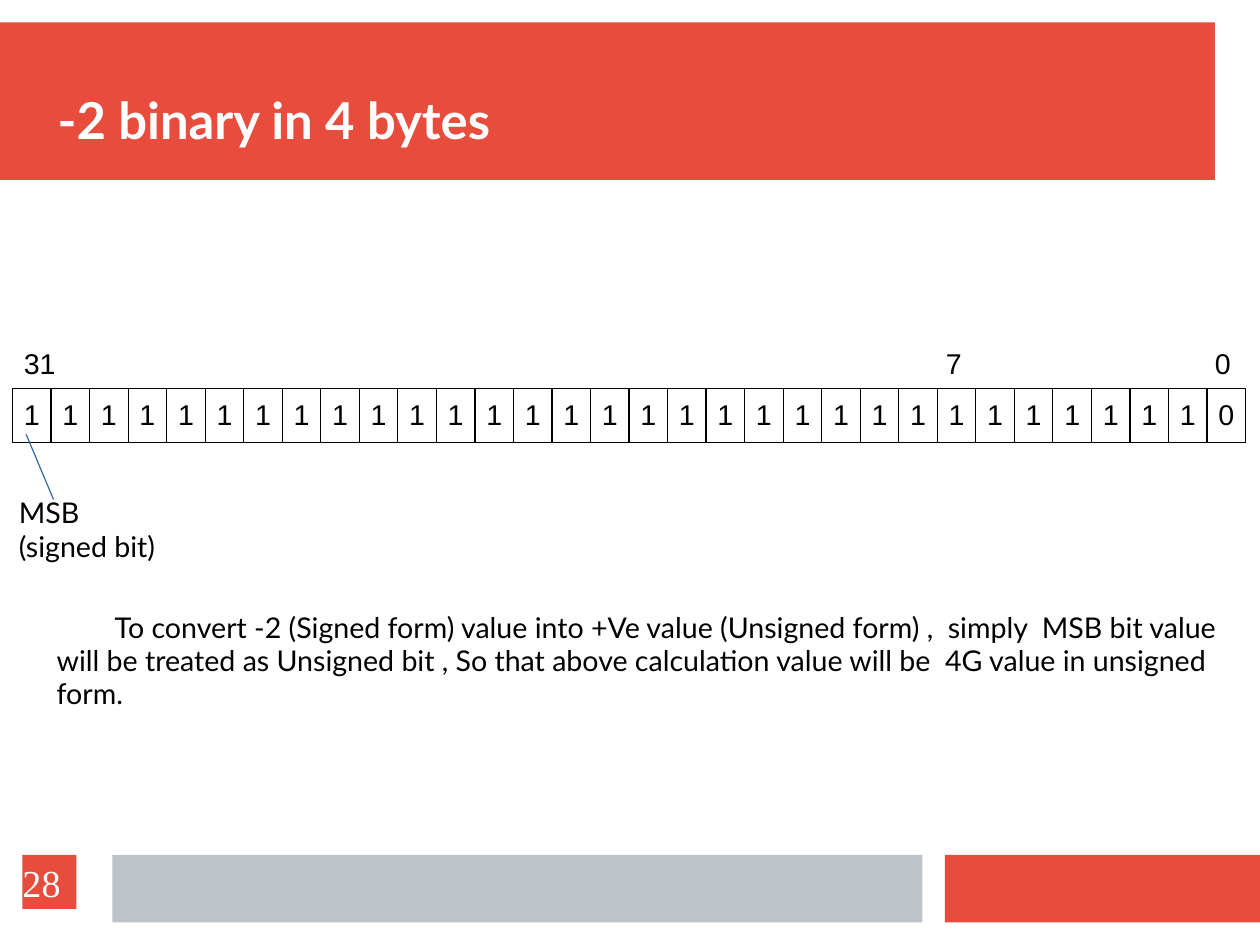
from dataclasses import dataclass

from lxml.etree import SubElement
from pptx import Presentation
from pptx.dml.color import RGBColor
from pptx.enum.shapes import MSO_CONNECTOR, MSO_SHAPE
from pptx.enum.text import MSO_ANCHOR, PP_ALIGN
from pptx.oxml.ns import qn
from pptx.shapes.autoshape import Shape
from pptx.shapes.shapetree import SlideShapes
from pptx.util import Cm, Pt

RED = RGBColor(0xE7, 0x4C, 0x3C)
GREY = RGBColor(0xBD, 0xC3, 0xC7)
BLUE = RGBColor(0x34, 0x65, 0xA4)
WHITE = RGBColor(0xFF, 0xFF, 0xFF)
BLACK = RGBColor(0x00, 0x00, 0x00)

BITS = "1" * 31 + "0"
ROW_LEFT = 0.28
ROW_TOP = 8.64
ROW_WIDTH = 27.4
BIT_HEIGHT = 1.19
BIT_WIDTH = ROW_WIDTH / len(BITS)


@dataclass(frozen=True)
class Area:
    left: float
    top: float
    width: float
    height: float


@dataclass(frozen=True)
class Style:
    font: str
    size: int
    color: RGBColor = BLACK
    bold: bool = False
    spacing: float = 0.97
    align: PP_ALIGN = PP_ALIGN.LEFT
    anchor: MSO_ANCHOR = MSO_ANCHOR.TOP
    padded: bool = True
    wrap: bool = True


@dataclass(frozen=True)
class Band:
    area: Area
    fill: RGBColor


@dataclass(frozen=True)
class Caption:
    text: str
    area: Area
    style: Style


TITLE = Style("Lato", 32, WHITE, bold=True, anchor=MSO_ANCHOR.BOTTOM, padded=False)
BIT = Style("Arial", 18, spacing=0.94, align=PP_ALIGN.CENTER, anchor=MSO_ANCHOR.MIDDLE,
            wrap=False)
POSITION = Style("Arial", 18, spacing=0.94)
BODY = Style("Lato", 18)
PAGE = Style("Times New Roman", 24, WHITE, spacing=1.0, anchor=MSO_ANCHOR.MIDDLE, padded=False)

BANDS = [
    Band(Area(0, 0.5, 27, 3.5), RED),
    Band(Area(21, 19, 7, 1.5), RED),
    Band(Area(2.5, 19, 18, 1.5), GREY),
]
CAPTIONS = [
    Caption("-2 binary in 4 bytes", Area(1.28, 1, 25.55, 2.36), TITLE),
    Caption("31", Area(0.28, 7.63, 1.6, 1.01), POSITION),
    Caption("7", Area(20.77, 7.63, 1.2, 1.01), POSITION),
    Caption("0", Area(26.75, 7.63, 1.2, 1.01), POSITION),
    Caption("MSB\n(signed bit)", Area(0.17, 10.92, 4, 1.73), BODY),
]
EXPLANATION = Caption(
    "To convert -2 (Signed form) value into +Ve value (Unsigned form) ,  simply  MSB bit value "
    "will be treated as Unsigned bit , So that above calculation value will be  4G value in "
    "unsigned form.",
    Area(1.01, 13.46, 26.42, 2.46),
    BODY,
)


def write(shape: Shape, text: str, style: Style) -> None:
    frame = shape.text_frame
    frame.text = text
    frame.word_wrap = style.wrap
    frame.vertical_anchor = style.anchor
    frame.margin_left = frame.margin_right = Cm(0.25 if style.padded else 0)
    frame.margin_top = frame.margin_bottom = Cm(0.13 if style.padded else 0)
    for paragraph in frame.paragraphs:
        paragraph.alignment = style.align
        paragraph.line_spacing = style.spacing
        for run in paragraph.runs:
            run.font.name = style.font
            run.font.size = Pt(style.size)
            run.font.bold = style.bold
            run.font.color.rgb = style.color


def add_box(shapes: SlideShapes, area: Area, fill: RGBColor) -> Shape:
    box = shapes.add_shape(MSO_SHAPE.RECTANGLE, Cm(area.left), Cm(area.top),
                           Cm(area.width), Cm(area.height))
    box.shadow.inherit = False
    box.fill.solid()
    box.fill.fore_color.rgb = fill
    box.line.fill.background()
    return box


def add_bit(shapes: SlideShapes, index: int, digit: str) -> None:
    area = Area(ROW_LEFT + index * BIT_WIDTH, ROW_TOP, BIT_WIDTH, BIT_HEIGHT)
    bit = add_box(shapes, area, WHITE)
    bit.line.color.rgb = BLACK
    bit.line.width = Pt(0.75)
    write(bit, digit, BIT)


def add_caption(shapes: SlideShapes, caption: Caption) -> Shape:
    area = caption.area
    box = shapes.add_textbox(Cm(area.left), Cm(area.top), Cm(area.width), Cm(area.height))
    write(box, caption.text, caption.style)
    return box


def add_msb_pointer(shapes: SlideShapes) -> None:
    pointer = shapes.add_connector(MSO_CONNECTOR.STRAIGHT, Cm(1.19), Cm(11.1), Cm(0.58), Cm(9.65))
    pointer.line.color.rgb = BLUE
    pointer.line.width = Pt(0.75)
    SubElement(pointer._element.spPr, qn("a:effectLst"))


def main() -> None:
    presentation = Presentation()
    presentation.slide_width = Cm(28)
    presentation.slide_height = Cm(21)
    shapes = presentation.slides.add_slide(presentation.slide_layouts[6]).shapes

    for band in BANDS:
        add_box(shapes, band.area, band.fill)
    for index, digit in enumerate(BITS):
        add_bit(shapes, index, digit)
    for caption in CAPTIONS:
        add_caption(shapes, caption)
    add_msb_pointer(shapes)

    explanation = add_caption(shapes, EXPLANATION)
    properties = explanation.text_frame.paragraphs[0]._p.get_or_add_pPr()
    properties.set("indent", str(Cm(1.29)))

    page_number = add_box(shapes, Area(0.5, 19, 1.2, 1.2), RED)
    write(page_number, "28", PAGE)

    presentation.save("out.pptx")


if __name__ == "__main__":
    main()
